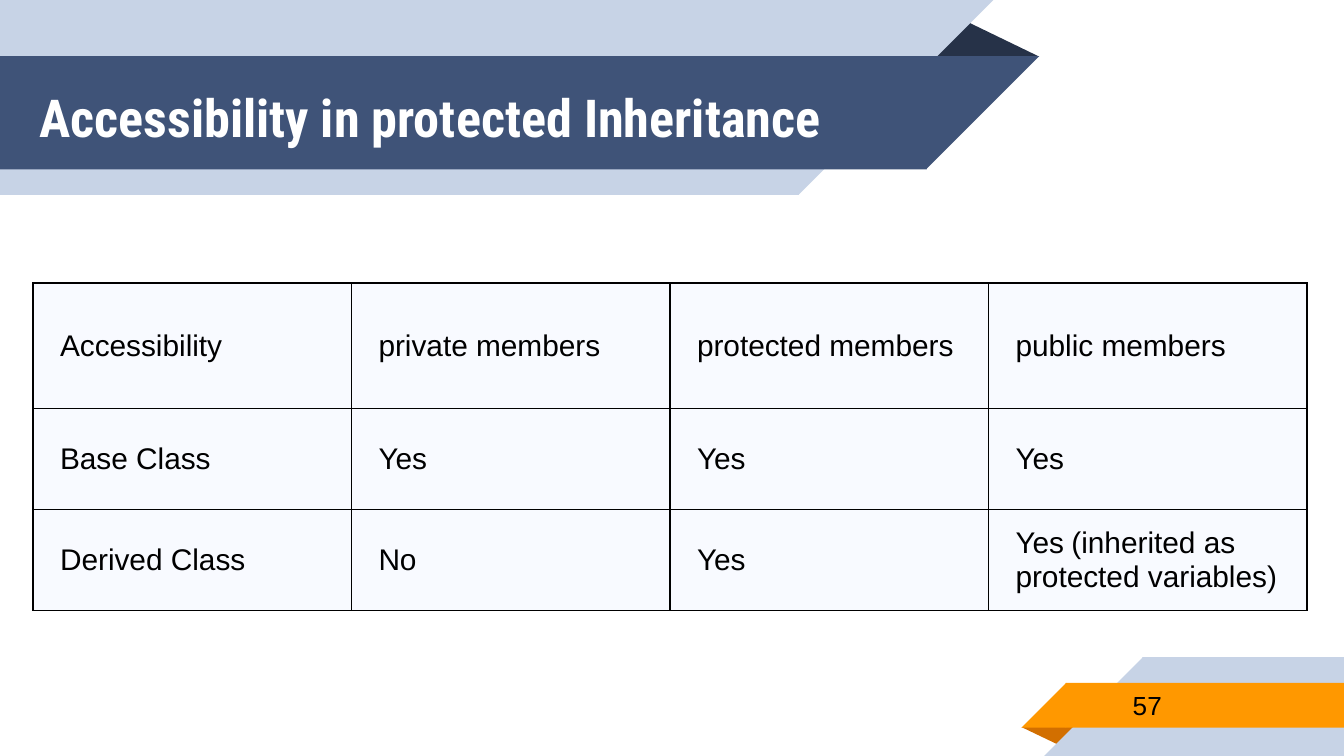
"""Build the slide on accessibility in protected inheritance."""
from lxml import etree
from pptx import Presentation
from pptx.dml.color import RGBColor
from pptx.enum.shapes import MSO_SHAPE
from pptx.enum.text import MSO_ANCHOR
from pptx.oxml.ns import qn
from pptx.util import Inches, Pt

RECTANGLE = MSO_SHAPE.RECTANGLE
RIGHT_TRIANGLE = MSO_SHAPE.RIGHT_TRIANGLE
FOLD = MSO_SHAPE.ISOSCELES_TRIANGLE
MIDDLE = MSO_ANCHOR.MIDDLE

THEME = {
    "pale": "C7D3E6", "navy": "3F5378", "navy fold": "263248",
    "orange": "FF9800", "orange fold": "D26F00", "cell": "F8FAFF",
    "white": "FFFFFF", "black": "000000",
    "heading font": "Roboto Condensed", "body font": "Arial",
    "title size": 28, "table size": 16, "gap size": 14, "number size": 14,
    "border width": 1,
}

presentation = Presentation()
presentation.slide_width = Inches(10)
presentation.slide_height = presentation.slide_width * 9 // 16
GRID = presentation.slide_width / 100
slide = presentation.slides.add_slide(presentation.slide_layouts[6])


def grid(*counts):
    return [round(count * GRID) for count in counts]


def add_run(paragraph, text, font, size, colour, bold=False):
    run = paragraph.add_run()
    run.text = text
    run.font.name = THEME[font]
    run.font.size = Pt(THEME[size])
    run.font.color.rgb = RGBColor.from_string(THEME[colour])
    run.font.bold = bold


# kind, left, top, width, height, colour, rotation, flipped
header_ribbon = [
    (FOLD, 68.8, 1.4, 8.5, 2.8, "navy fold", 0, False),
    (RECTANGLE, 0, 0, 59.45, 14.5, "pale", 0, False),
    (RIGHT_TRIANGLE, 59.4, 0, 14.5, 14.5, "pale", 180, True),
    (RECTANGLE, 0, 4.17, 68.95, 8.43, "navy", 0, False),
    (RIGHT_TRIANGLE, 68.9, 4.17, 8.43, 8.43, "navy", 180, True),
]
footer_ribbon = [
    (FOLD, 76, 54.1, 4.3, 1.4, "orange fold", 180, False),
    (RECTANGLE, 85, 48.9, 15, 7.35, "pale", 0, False),
    (RIGHT_TRIANGLE, 77.7, 48.9, 7.35, 7.35, "pale", 0, True),
    (RECTANGLE, 79.3, 50.82, 20.7, 3.33, "orange", 0, False),
    (RIGHT_TRIANGLE, 76, 50.82, 3.33, 3.33, "orange", 0, True),
]
for ribbon in (header_ribbon, footer_ribbon):
    group = slide.shapes.add_group_shape()
    for kind, left, top, width, height, colour, rotation, flipped in ribbon:
        shape = group.shapes.add_shape(kind, *grid(left, top, width, height))
        shape.shadow.inherit = False
        shape.fill.solid()
        shape.fill.fore_color.rgb = RGBColor.from_string(THEME[colour])
        shape.line.fill.background()
        shape.rotation = rotation
        if kind == FOLD:
            shape.adjustments[0] = 0.32
        if flipped:
            shape.element.spPr.find(qn("a:xfrm")).set("flipH", "1")

labels = [
    ("Accessibility in protected Inheritance", (1.95, 4.5, 63, 8.4),
     "heading font", "title size", "white", True),
    ("57", (83.3, 50.7, 16.3, 3.5), "body font", "number size", "black", False),
]
for text, box, font, size, colour, bold in labels:
    frame = slide.shapes.add_textbox(*grid(*box)).text_frame
    frame.word_wrap = True
    frame.vertical_anchor = MIDDLE
    frame.margin_left, frame.margin_top, frame.margin_right, frame.margin_bottom = grid(1, 1, 1, 1)
    add_run(frame.paragraphs[0], text, font, size, colour, bold)

access_rows = [
    ["Accessibility", "private members", "protected members", "public members"],
    ["Base Class", "Yes", "Yes", "Yes"],
    ["Derived Class", "No", "Yes", ("Yes", " ", "(inherited as protected variables)")],
]
row_heights = grid(9.35, 7.52, 7.52)
table = slide.shapes.add_table(3, 4, *grid(2.47, 21.05, 94.8, 24.39)).table
for column in table.columns:
    column.width = grid(23.7)[0]
for row, height, entries in zip(table.rows, row_heights, access_rows):
    row.height = height
    for cell, entry in zip(row.cells, entries):
        cell.fill.solid()
        cell.fill.fore_color.rgb = RGBColor.from_string(THEME["cell"])
        cell.vertical_anchor = MIDDLE
        cell.margin_left, cell.margin_top, cell.margin_right, cell.margin_bottom = grid(2, 1, 2, 1)
        pieces = (entry,) if isinstance(entry, str) else entry
        for piece in pieces:
            size = "table size" if piece.strip() else "gap size"
            add_run(cell.text_frame.paragraphs[0], piece, "body font", size, "black")
        properties = cell._tc.get_or_add_tcPr()
        for position, side in enumerate(("a:lnL", "a:lnR", "a:lnT", "a:lnB")):
            border = etree.Element(qn(side), w=str(Pt(THEME["border width"])))
            fill = etree.SubElement(border, qn("a:solidFill"))
            etree.SubElement(fill, qn("a:srgbClr"), val=THEME["black"])
            properties.insert(position, border)

presentation.save("out.pptx")
